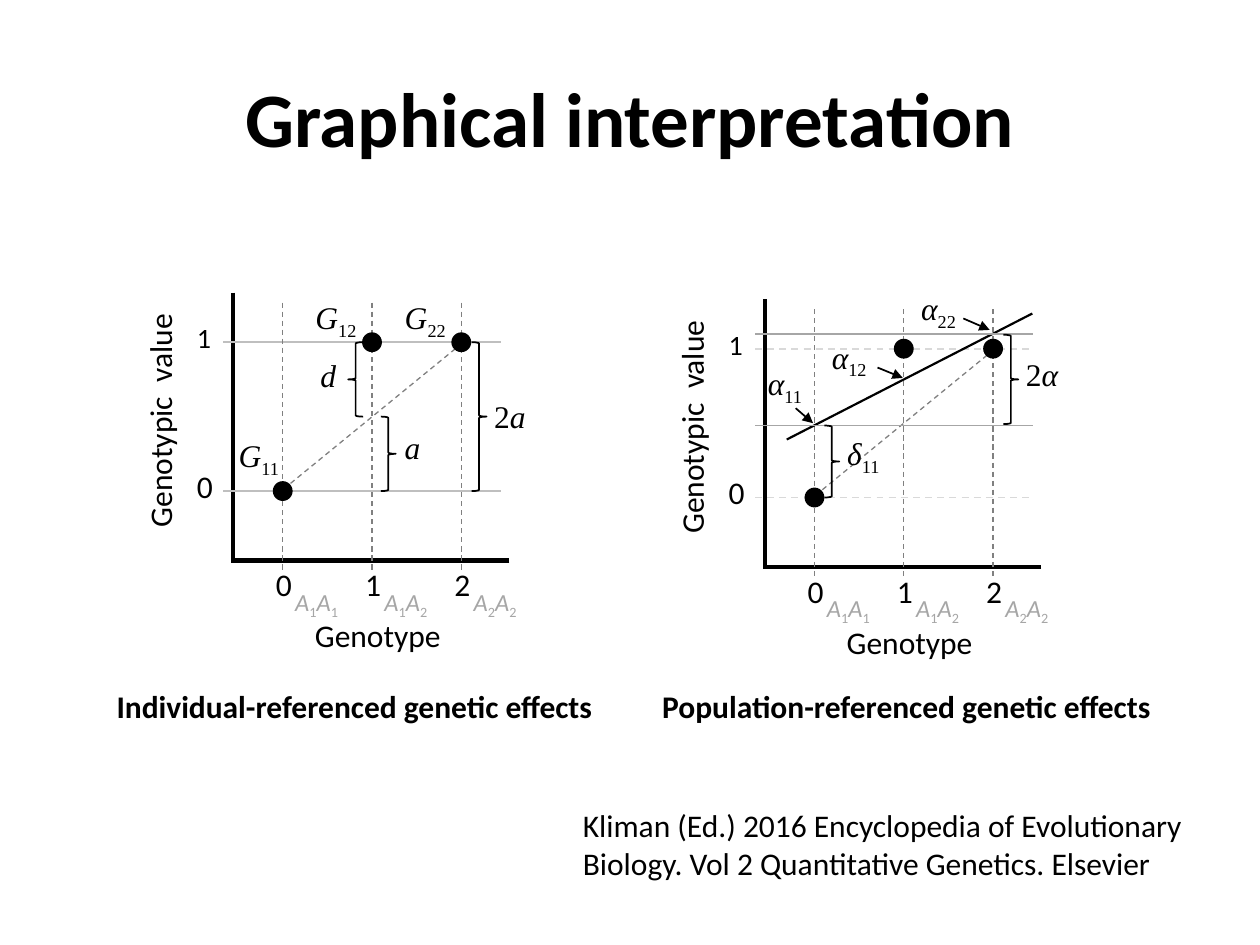
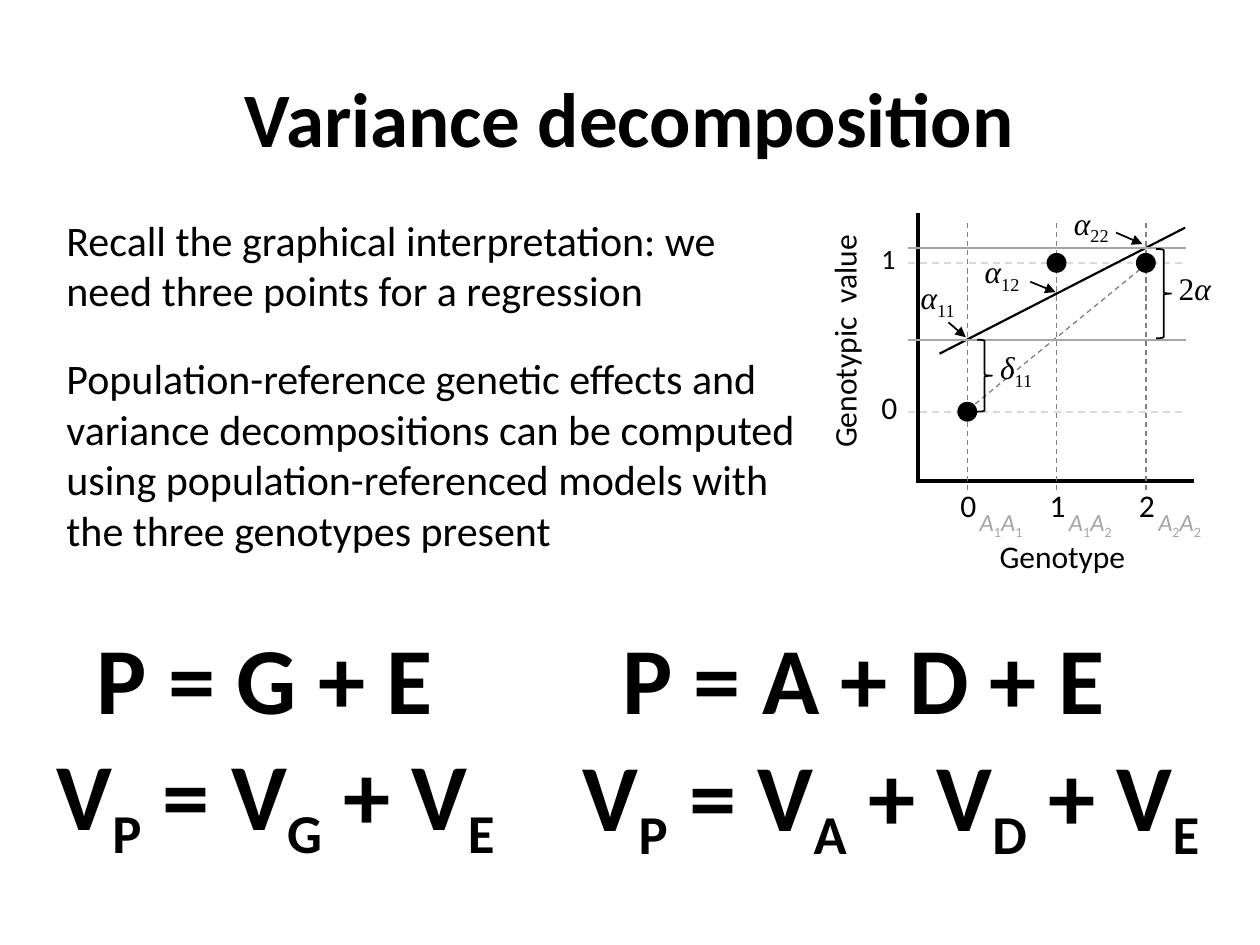
from pptx import Presentation
from pptx.dml.color import RGBColor
from pptx.enum.dml import MSO_LINE
from pptx.enum.shapes import MSO_CONNECTOR, MSO_SHAPE
from pptx.enum.text import MSO_ANCHOR, MSO_AUTO_SIZE, PP_ALIGN
from pptx.oxml import parse_xml
from pptx.oxml.ns import nsdecls, qn
from pptx.util import Cm, Pt

HUES = {"ink": "000000", "dark": "808080", "mid": "A6A6A6",
        "soft": "BFBFBF", "pale": "D9D9D9"}

# Text formats; "hue" names a colour, the rest are font attributes
FORMS = {
    "title": dict(name="Calibri", size=Pt(44), bold=True, hue="ink"),
    "math": dict(name="Calibri", size=Pt(54), bold=True, hue="ink"),
    "body": dict(name="Calibri", size=Pt(24), hue="ink"),
    "head": dict(name="Calibri", size=Pt(18), bold=True, hue="ink"),
    "note": dict(name="Calibri", size=Pt(18), hue="ink"),
    "small": dict(name="Calibri", size=Pt(16), hue="ink"),
    "gene": dict(name="Calibri", size=Pt(14), italic=True, hue="mid"),
    "sign": dict(name="Times New Roman", size=Pt(18), italic=True, hue="ink"),
}

# Line formats: colour, points, dashed, arrowhead
LINES = {
    "axis": ("ink", 2.5, False, False),
    "guide": ("dark", 0.75, True, False),
    "solid": ("soft", 1, False, False),
    "faint": ("pale", 1, True, False),
    "level": ("mid", 1, False, False),
    "fit": ("ink", 1.25, False, False),
    "arrow": ("ink", 1, False, True),
}

# Graph content in cm from the point (genotype 0, value 0), y downwards.
# In texts, each "|" switches between plain and subscript.
STEP, RISE = 1.8, 3.0
GENES = ["A|1|A|1", "A|1|A|2", "A|2|A|2"]
DOTS = [(0, 0), (2, 1), (1, 1)]
GRAPHS = {
    "single": dict(
        grid="solid",
        signs=[("a", 2.21, -1.4, 0.8), ("2||a", 4.01, -2.03, 1.3),
               ("d", 0.51, -2.84, 0.8), ("G|11", -1.14, -1.24, 1.4),
               ("G|12", 0.41, -4.01, 1.4), ("G|22", 2.21, -4.01, 1.4)],
        braces=[(1.32, -3, 1.5, False), (1.98, -1.5, 1.5, True),
                (3.81, -3, 3, True)],
        lines=[]),
    "group": dict(
        grid="faint",
        signs=[("α|11", -1.19, -2.82, 1.4), ("2||α", 4.01, -3, 1.3),
               ("α|12", 0.1, -3.35, 1.4), ("α|22", 1.9, -4.32, 1.4),
               ("δ|11", 0.41, -1.4, 1.4)],
        braces=[(3.81, -3.28, 1.8, True), (0.2, -1.45, 1.45, True)],
        lines=[("fit", 4.39, -3.71, -0.56, -1.17),
               ("level", -1.2, -1.45, 4.4, -1.45),
               ("level", -1.2, -3.3, 4.4, -3.3),
               ("arrow", 3, -3.61, 3.53, -3.38),
               ("arrow", -0.38, -1.8, -0.03, -1.5),
               ("arrow", 1.27, -2.62, 1.78, -2.41)]),
}

# Slides: graphs as (kind, x, y); texts as (format, text, left, top, width, height)
SLIDES = [
    dict(title="Graphical interpretation",
         graphs=[("single", 5.7, 9.9), ("group", 16.42, 10.03)],
         texts=[
             ("head", "Individual-referenced genetic effects",
              2.1, 13.72, 10.6, 1.02),
             ("head", "Population-referenced genetic effects",
              13.1, 13.72, 10.6, 1.02),
             ("note", "Kliman (Ed.) 2016 Encyclopedia of Evolutionary Biology. "
              "Vol 2 Quantitative Genetics. Elsevier", 11.5, 16.13, 13.2, 1.8)]),
    dict(title="Variance decomposition",
         graphs=[("group", 19.5, 8.3)],
         texts=[
             ("math", "P = G + E", 1.7, 12.37, 7.8, 2.56),
             ("math", "V|P| = V|G| + V|E", 0.89, 14.71, 10.2, 2.56),
             ("body", "Recall the graphical interpretation: we need three "
              "points for a regression", 1.09, 4.19, 15.4, 2.3),
             ("body", "Population-reference genetic effects and variance "
              "decompositions can be computed using population-referenced "
              "models with the three genotypes present",
              1.09, 6.99, 15.4, 4.37),
             ("math", "P = A + D + E", 12.29, 12.37, 12, 2.56),
             ("math", "V|P| = V|A| + V|D| + V|E", 11.5, 14.73, 13.4, 2.56)]),
]


def tint(hue):
    return RGBColor.from_string(HUES[hue])


def fill_text(par, text, form):
    """Write the pieces of text as runs, every second one as subscript."""
    for i, part in enumerate(text.split("|")):
        if not part:
            continue
        run = par.add_run()
        run.text = part
        for key, val in FORMS[form].items():
            if key == "hue":
                run.font.color.rgb = tint(val)
            elif key != "italic" or part.isalpha():
                setattr(run.font, key, val)
        if i % 2:
            run._r.get_or_add_rPr().set("baseline", "-25000")


def add_text(slide, form, text, x, y, w, h=1.02):
    box = slide.shapes.add_textbox(Cm(x), Cm(y), Cm(w), Cm(h))
    frame = box.text_frame
    frame.word_wrap = True
    frame.auto_size = MSO_AUTO_SIZE.SHAPE_TO_FIT_TEXT
    fill_text(frame.paragraphs[0], text, form)
    return box


def add_line(slide, style, x1, y1, x2, y2):
    hue, width, dash, arrow = LINES[style]
    link = slide.shapes.add_connector(
        MSO_CONNECTOR.STRAIGHT, Cm(x1), Cm(y1), Cm(x2), Cm(y2))
    link.line.color.rgb = tint(hue)
    link.line.width = Pt(width)
    if dash:
        link.line.dash_style = MSO_LINE.DASH
    if arrow:
        link.line._get_or_add_ln().append(
            parse_xml(f'<a:tailEnd {nsdecls("a")} type="triangle"/>'))
    link._element.spPr.append(parse_xml(f'<a:effectLst {nsdecls("a")}/>'))


def add_dot(slide, x, y, r=0.2):
    dot = slide.shapes.add_shape(
        MSO_SHAPE.OVAL, Cm(x - r), Cm(y - r), Cm(2 * r), Cm(2 * r))
    dot.shadow.inherit = False
    dot.fill.solid()
    dot.fill.fore_color.rgb = tint("ink")
    dot.line.fill.background()


def add_brace(slide, x, y, h, flip):
    brace = slide.shapes.add_shape(
        MSO_SHAPE.LEFT_BRACE, Cm(x), Cm(y), Cm(0.3), Cm(h))
    brace.shadow.inherit = False
    brace.fill.background()
    brace.line.color.rgb = tint("ink")
    brace.line.width = Pt(1)
    if flip:
        brace._element.spPr.find(qn("a:xfrm")).set("flipH", "1")


def add_graph(slide, kind, x, y):
    data = GRAPHS[kind]

    def line(style, x1, y1, x2, y2):
        add_line(slide, style, x + x1, y + y1, x + x2, y + y2)

    def text(form, words, left, top, *size):
        return add_text(slide, form, words, x + left, y + top, *size)

    # Axes and value levels
    line("axis", -1, -4, -1, 1.4)
    line("axis", 4.57, 1.4, -1.04, 1.4)
    for top in (0, -RISE):
        line(data["grid"], -1.2, top, 4.4, top)
    text("note", "Genotype", 0.4, 2.4, 3.8)
    text("note", "Genotypic  value", -4.98, -2.03, 5).rotation = 270
    text("small", "1", -1.98, -3.56, 0.8, 0.94)
    text("note", "0", -1.98, -0.61, 0.8)

    # Genotype columns
    for i, gene in enumerate(GENES):
        col = i * STEP
        line("guide", col, -3.8, col, 1.6)
        text("note", str(i), col - 0.39, 1.37, 0.8)
        text("gene", gene, col, 1.8, 1.6, 0.86)

    # Points and the line between the two homozygotes
    line("guide", 3.48, -2.87, 0.15, -0.15)
    for col, val in DOTS:
        add_dot(slide, x + col * STEP, y - val * RISE)

    # Effects
    for args in data["lines"]:
        line(*args)
    for left, top, high, flip in data["braces"]:
        add_brace(slide, x + left, y + top, high, flip)
    for words, left, top, wide in data["signs"]:
        text("sign", words, left, top, wide)


def add_title(slide, words):
    head = slide.shapes.title
    place = dict(left=Cm(1.27), top=Cm(0.76), width=Cm(22.86), height=Cm(3.18))
    for key, val in place.items():
        setattr(head, key, val)
    head.text_frame.vertical_anchor = MSO_ANCHOR.MIDDLE
    par = head.text_frame.paragraphs[0]
    par.alignment = PP_ALIGN.CENTER
    fill_text(par, words, "title")


def main():
    deck = Presentation()
    deck.slide_width, deck.slide_height = Cm(25.4), Cm(19.05)
    for page in SLIDES:
        slide = deck.slides.add_slide(deck.slide_layouts[5])
        add_title(slide, page["title"])
        for graph in page["graphs"]:
            add_graph(slide, *graph)
        for item in page["texts"]:
            add_text(slide, *item)
    deck.save("out.pptx")


if __name__ == "__main__":
    main()
